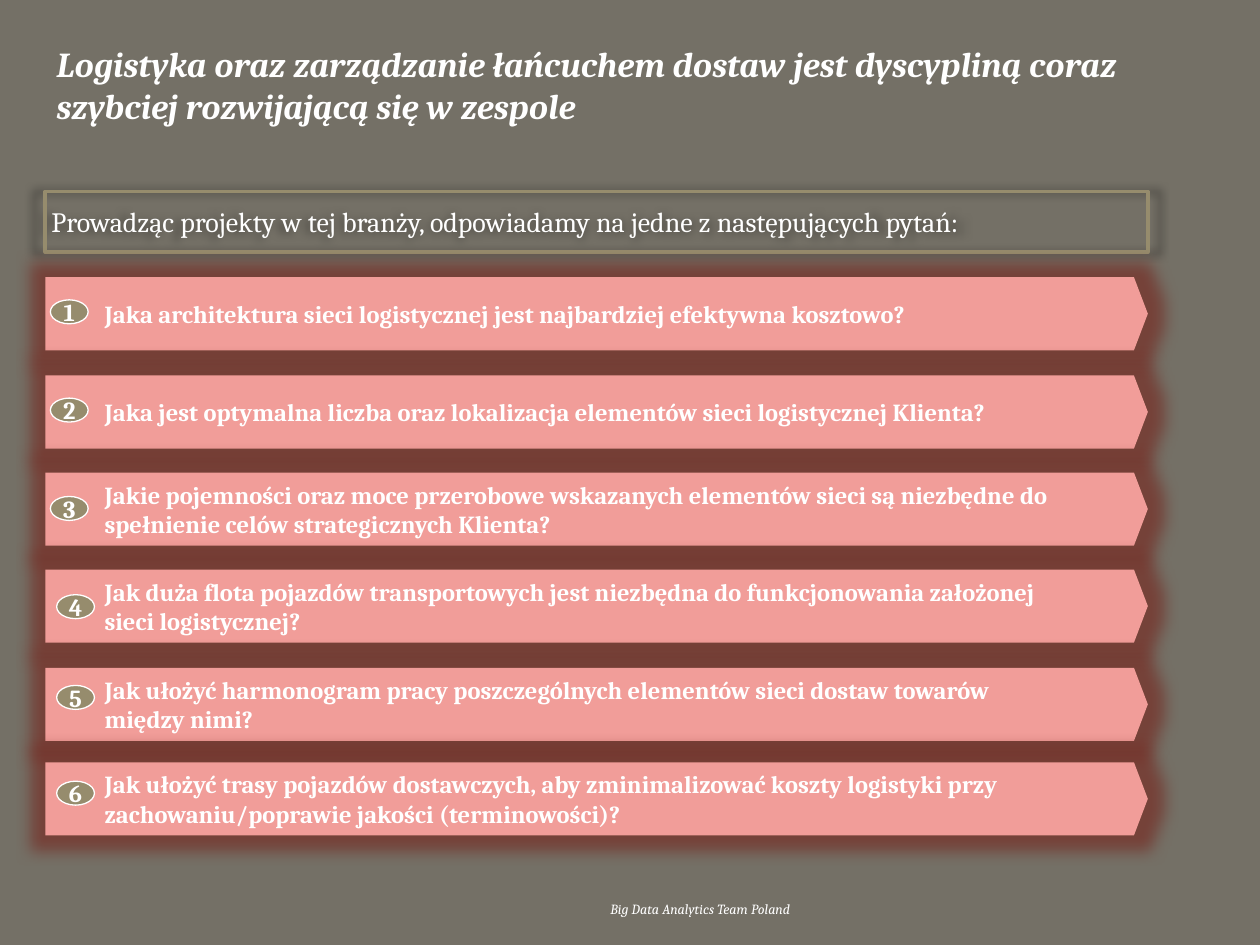
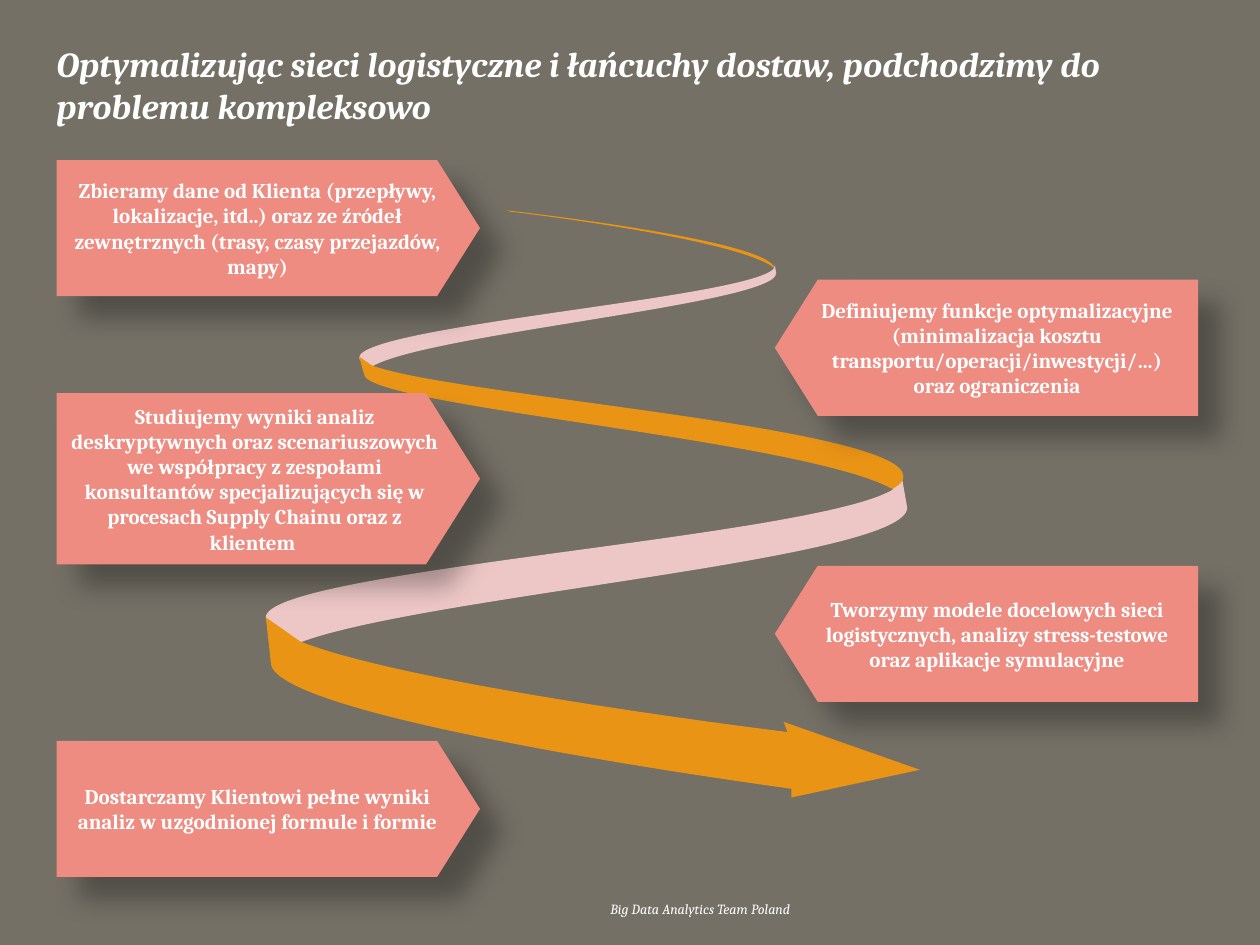
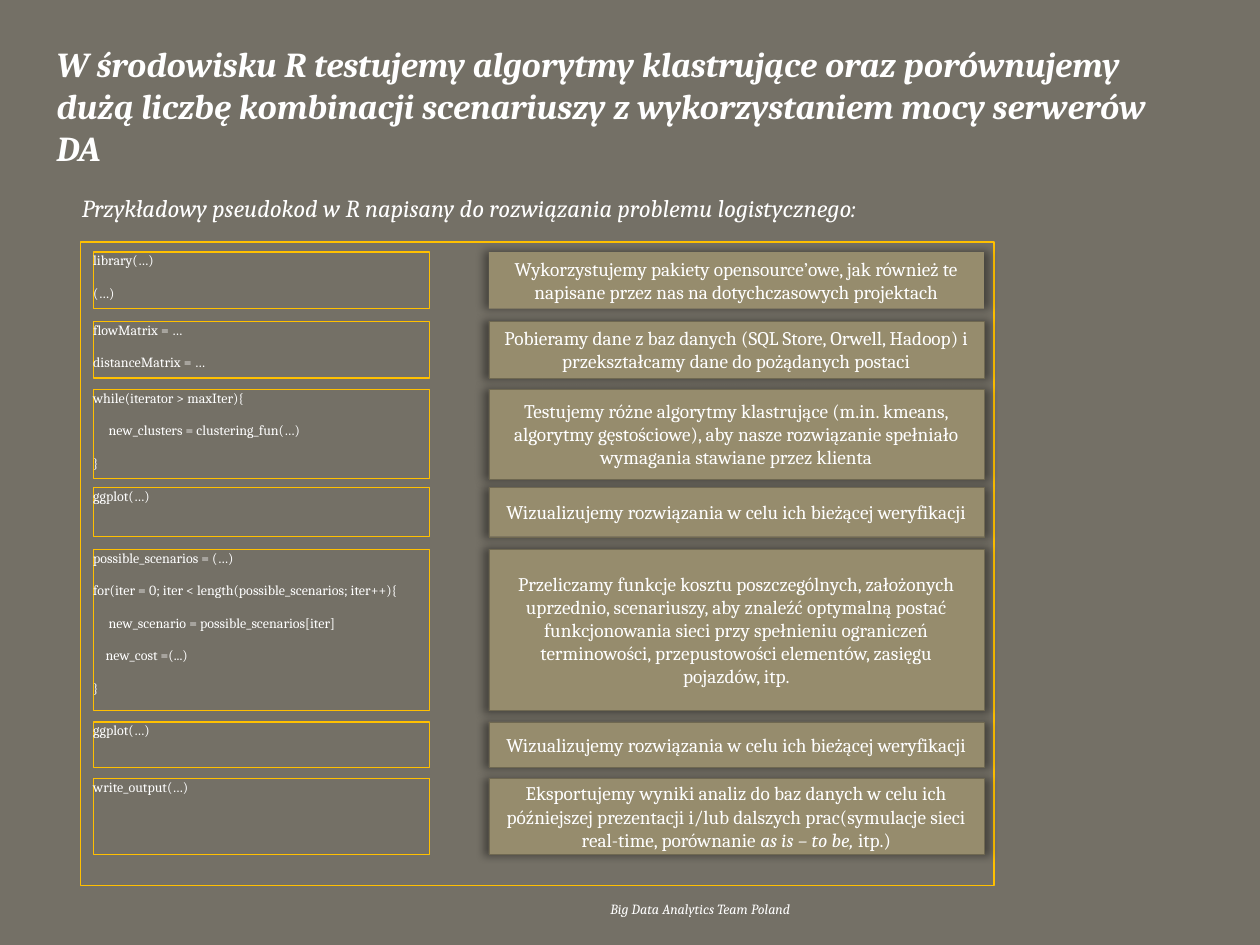
import pptx
import pptx.util
import pptx.dml.color
import pptx.enum.shapes
import pptx.enum.text
import pptx.oxml
import pptx.oxml.ns
import lxml.etree
from pptx.util import Inches, Pt

RGBColor = pptx.dml.color.RGBColor
PRESET = pptx.enum.shapes.MSO_SHAPE
ALIGN = pptx.enum.text.PP_ALIGN
ANCHOR = pptx.enum.text.MSO_ANCHOR
qn = pptx.oxml.ns.qn

# Shared style
FONT = "Cambria"
STONE = RGBColor(0x74, 0x70, 0x66)
WHITE = RGBColor(0xFF, 0xFF, 0xFF)
KHAKI = RGBColor(0x96, 0x8C, 0x6D)
DARK_KHAKI = RGBColor(0x6F, 0x68, 0x51)
PINK = RGBColor(0xF1, 0x9D, 0x99)
CORAL = RGBColor(0xEE, 0x8C, 0x82)
ORANGE = RGBColor(0xEA, 0x94, 0x16)
PALE_PINK = RGBColor(0xEC, 0xC7, 0xC6)
AMBER = RGBColor(0xFF, 0xC0, 0x00)

NS = pptx.oxml.ns.nsdecls("a")
SHADOW = ('<a:outerShdw %s blurRad="%d" dist="%d" dir="%d" sx="%d" sy="%d" algn="ctr" '
          'rotWithShape="0"><a:srgbClr val="000000"><a:alpha val="%d"/></a:srgbClr>'
          '</a:outerShdw>')
SOFT_SHADOW = SHADOW % (NS, Pt(5), 0, 0, 102000, 102000, 40000)
DROP_SHADOW = SHADOW % (NS, Pt(15), Pt(18), 45 * 60000, 100000, 100000, 30000)
RED_GLOW = ('<a:glow %s rad="%d"><a:srgbClr val="76241C"><a:alpha val="60000"/>'
            '</a:srgbClr></a:glow>' % (NS, Pt(18)))


def add_block(slide, preset, at, text="", size=12, bold=False, italic=False, fill=None,
              line=None, width=0.75, effect=None, insets=(0, 0, 0, 0), align=ALIGN.LEFT,
              anchor=ANCHOR.MIDDLE, wrap=True, after=0):
    """Add a preset shape, or a text box when preset is None, with uniform text."""
    box = [Inches(v) for v in at]
    if preset is None:
        block = slide.shapes.add_textbox(*box)
    else:
        block = slide.shapes.add_shape(preset, *box)
        block.shadow.inherit = False
        if fill is None:
            block.fill.background()
        else:
            block.fill.solid()
            block.fill.fore_color.rgb = fill
        if line is None:
            block.line.fill.background()
        else:
            block.line.color.rgb = line
            block.line.width = Pt(width)
        if effect:
            effects = block._element.spPr.find(qn("a:effectLst"))
            effects.append(pptx.oxml.parse_xml(effect))
    frame = block.text_frame
    frame.margin_left, frame.margin_top, frame.margin_right, frame.margin_bottom = (
        Inches(v) for v in insets)
    frame.vertical_anchor = anchor
    frame.word_wrap = wrap
    frame.text = text
    for paragraph in frame.paragraphs:
        paragraph.alignment = align
        paragraph.space_after = Pt(after)
        for run in paragraph.runs:
            run.font.name = FONT
            run.font.size = Pt(size)
            run.font.bold = bold
            run.font.italic = italic
            run.font.color.rgb = WHITE
    return block


prs = pptx.Presentation()
prs.slide_width, prs.slide_height = Inches(10), Inches(7.5)
prs.slide_master.background.fill.solid()
prs.slide_master.background.fill.fore_color.rgb = STONE

# Titles and footers
titles = [
    "Logistyka oraz zarządzanie łańcuchem dostaw jest dyscypliną coraz szybciej "
    "rozwijającą się w zespole",
    "Optymalizując sieci logistyczne i łańcuchy dostaw, podchodzimy do problemu kompleksowo",
    "W środowisku R testujemy algorytmy klastrujące oraz porównujemy dużą liczbę kombinacji "
    "scenariuszy z wykorzystaniem mocy serwerów DA",
]
slides = []
for title in titles:
    slide = prs.slides.add_slide(prs.slide_layouts[6])
    add_block(slide, None, (3.06, 7.15, 5, 0.13), "Big Data Analytics Team Poland", 8,
              italic=True, align=ALIGN.CENTER, anchor=ANCHOR.TOP)
    add_block(slide, None, (0.45, 0.34, 8.97, 1), title, 20, bold=True, italic=True,
              anchor=ANCHOR.TOP)
    slides.append(slide)
questions_slide, process_slide, code_slide = slides

# Slide 1: numbered questions
add_block(questions_slide, PRESET.RECTANGLE, (0.36, 1.52, 8.75, 0.48),
          " Prowadząc projekty w tej branży, odpowiadamy na jedne z następujących pytań:", 16,
          line=KHAKI, width=2.25, effect=SOFT_SHADOW)
questions = [  # banner top, badge left, badge top, question
    (2.2, 0.4, 2.38, "Jaka architektura sieci logistycznej jest najbardziej efektywna kosztowo?"),
    (2.98, 0.4, 3.16, "Jaka jest optymalna liczba oraz lokalizacja elementów sieci "
                      "logistycznej Klienta?"),
    (3.75, 0.4, 3.94, "Jakie pojemności oraz moce przerobowe wskazanych elementów sieci są "
                      "niezbędne do spełnienie celów strategicznych Klienta?"),
    (4.52, 0.45, 4.72, "Jak duża flota pojazdów transportowych jest niezbędna do "
                       "funkcjonowania założonej sieci logistycznej?"),
    (5.3, 0.45, 5.44, "Jak ułożyć harmonogram pracy poszczególnych elementów sieci dostaw "
                      "towarów między nimi?"),
    (6.05, 0.45, 6.2, "Jak ułożyć trasy pojazdów dostawczych, aby zminimalizować koszty "
                      "logistyki przy zachowaniu/poprawie jakości (terminowości)?"),
]
for number, (top, badge_left, badge_top, question) in enumerate(questions, 1):
    banner = add_block(questions_slide, PRESET.PENTAGON, (0.36, top, 8.75, 0.58), question, 14,
                       bold=True, fill=PINK, effect=RED_GLOW, insets=(0.47, 0.04, 0.71, 0.04))
    banner.adjustments[0] = 0.19
    add_block(questions_slide, PRESET.OVAL, (badge_left, badge_top, 0.3, 0.19), str(number), 14,
              bold=True, fill=KHAKI, line=WHITE, align=ALIGN.CENTER, wrap=False)

# Slide 2: spiral ribbon; six numbers are a Bézier curve, two are a straight edge
ribbons = [
    (ORANGE, (4.02, 1.67), [(4.05, 1.68), (4.05, 1.68, 5.85, 1.89, 6.15, 2.13),
                            (6.1, 1.9, 4.02, 1.67, 4.02, 1.67)]),
    (PALE_PINK, (7.08, 3.89), [(6.42, 4.27, 2.11, 4.53, 2.11, 4.9),
                               (2.11, 4.97, 2.21, 5.03, 2.38, 5.1),
                               (3.35, 4.73, 7.2, 4.44, 7.2, 4.03), (7.16, 3.8)]),
    (PALE_PINK, (6.16, 2.17), [(6.16, 2.41, 3.39, 2.65, 2.95, 2.91),
                               (2.89, 2.89, 2.85, 2.86, 2.85, 2.84),
                               (2.85, 2.58, 6.15, 2.35, 6.15, 2.11), (6.15, 2.1)]),
    (ORANGE, (2.95, 2.9), [(3.59, 3.14, 7.17, 3.39, 7.17, 3.78),
                           (7.17, 3.82, 7.14, 3.85, 7.08, 3.88),
                           (6.38, 3.49, 2.89, 3.22, 2.89, 2.97), (2.85, 2.83)]),
    (ORANGE, (2.11, 4.9), [(2.15, 5.26), (2.15, 5.71, 6.28, 6.26, 6.28, 6.26), (6.28, 6.33),
                           (7.3, 6.11), (6.22, 5.73), (6.25, 5.81),
                           (6.25, 5.81, 3.28, 5.45, 2.38, 5.09)]),
]
for colour, start, edges in ribbons:
    points = [(Inches(x), Inches(y)) for edge in edges for x, y in zip(edge[::2], edge[1::2])]
    builder = process_slide.shapes.build_freeform(Inches(start[0]), Inches(start[1]))
    builder.add_line_segments(points, close=True)
    ribbon = builder.convert_to_shape()
    ribbon.shadow.inherit = False
    ribbon.fill.solid()
    ribbon.fill.fore_color.rgb = colour
    ribbon.line.fill.background()
    # Join each three points of a curved edge into one Bézier segment
    segments = iter(list(ribbon._element.iter(qn("a:lnTo"))))
    for edge in edges:
        parts = [next(segments) for _ in range(len(edge) // 2)]
        if len(parts) == 3:
            curve = lxml.etree.Element(qn("a:cubicBezTo"))
            parts[0].addprevious(curve)
            for part in parts:
                curve.append(part[0])
                part.getparent().remove(part)

# Slide 2: process steps, alternating left and right
steps = [  # top, height, text
    (1.27, 1.08, "Zbieramy dane od Klienta (przepływy, lokalizacje, itd..) oraz ze źródeł "
                 "zewnętrznych (trasy, czasy przejazdów, mapy)"),
    (2.22, 1.08, "Definiujemy funkcje optymalizacyjne\v(minimalizacja kosztu "
                 "transportu/operacji/inwestycji/…)\noraz ograniczenia"),
    (3.12, 1.36, "Studiujemy wyniki analiz deskryptywnych oraz scenariuszowych we współpracy "
                 "z zespołami konsultantów specjalizujących się w procesach Supply Chainu "
                 "oraz z klientem "),
    (4.49, 1.08, "Tworzymy modele docelowych sieci logistycznych, analizy stress-testowe "
                 "oraz aplikacje symulacyjne"),
    (5.88, 1.08, "Dostarczamy Klientowi pełne wyniki analiz w uzgodnionej formule i formie"),
]
for index, (top, height, text) in enumerate(steps):
    on_right = index % 2 == 1
    arrow = add_block(process_slide, PRESET.PENTAGON,
                      (6.15 if on_right else 0.45, top, 3.36, height), text, 12, bold=True,
                      fill=CORAL, effect=DROP_SHADOW, insets=(0.1, 0.05, 0.1, 0.05),
                      align=ALIGN.CENTER)
    arrow.adjustments[0] = 0.315
    if on_right:
        arrow._element.spPr.find(qn("a:xfrm")).set("flipH", "1")

# Slide 3: pseudocode beside its explanation
add_block(code_slide, PRESET.RECTANGLE, (0.64, 1.92, 7.25, 5.11), line=AMBER)
add_block(code_slide, None, (0.65, 1.53, 7.1, 0.29),
          "Przykładowy pseudokod w R napisany do rozwiązania problemu logistycznego:", 14,
          italic=True, anchor=ANCHOR.TOP, wrap=False, after=9)
visualise = "Wizualizujemy rozwiązania w celu ich bieżącej weryfikacji"
stages = [  # top, height, code, explanation
    (2, 0.45, "library(…)\n(…)",
     "Wykorzystujemy pakiety opensource’owe, jak również te napisane przez nas na "
     "dotychczasowych projektach"),
    (2.55, 0.45, "flowMatrix = …\ndistanceMatrix = …",
     "Pobieramy dane z baz danych (SQL Store, Orwell, Hadoop) i przekształcamy dane do "
     "pożądanych postaci"),
    (3.09, 0.71, "while(iterator > maxIter){\n     new_clusters = clustering_fun(…)\n}",
     "Testujemy różne algorytmy klastrujące (m.in. kmeans, algorytmy gęstościowe), aby nasze "
     "rozwiązanie spełniało wymagania stawiane przez klienta"),
    (3.87, 0.39, "ggplot(…)", visualise),
    (4.36, 1.28, "possible_scenarios = (…)\n"
                 "for(iter = 0; iter < length(possible_scenarios; iter++){\n"
                 "     new_scenario = possible_scenarios[iter]\n"
                 "    new_cost =(...)\n}",
     "Przeliczamy funkcje kosztu poszczególnych, założonych uprzednio, scenariuszy, aby "
     "znaleźć optymalną postać funkcjonowania sieci przy spełnieniu ograniczeń terminowości, "
     "przepustowości elementów, zasięgu pojazdów, itp."),
    (5.73, 0.36, "ggplot(…)", visualise),
    (6.18, 0.6, "write_output(…)",
     "Eksportujemy wyniki analiz do baz danych w celu ich późniejszej prezentacji i/lub "
     "dalszych prac(symulacje sieci real-time, porównanie "),
]
for index, (top, height, code, explanation) in enumerate(stages):
    add_block(code_slide, PRESET.RECTANGLE, (0.74, top, 2.67, height), code, 8, line=AMBER,
              anchor=ANCHOR.TOP, after=9)
    note = add_block(code_slide, PRESET.RECTANGLE, (3.88, top, 3.93, height), explanation, 11,
                     fill=KHAKI, line=DARK_KHAKI if index else None, width=0.25,
                     effect=SOFT_SHADOW, insets=(0.1, 0.05, 0.1, 0.05), align=ALIGN.CENTER)

# The last explanation ends with an italic phrase
for ending, slanted in (("as is – to be, ", True), ("itp.)", False)):
    run = note.text_frame.paragraphs[0].add_run()
    run.text = ending
    run.font.name = FONT
    run.font.size = Pt(11)
    run.font.italic = slanted
    run.font.color.rgb = WHITE

prs.save("out.pptx")
